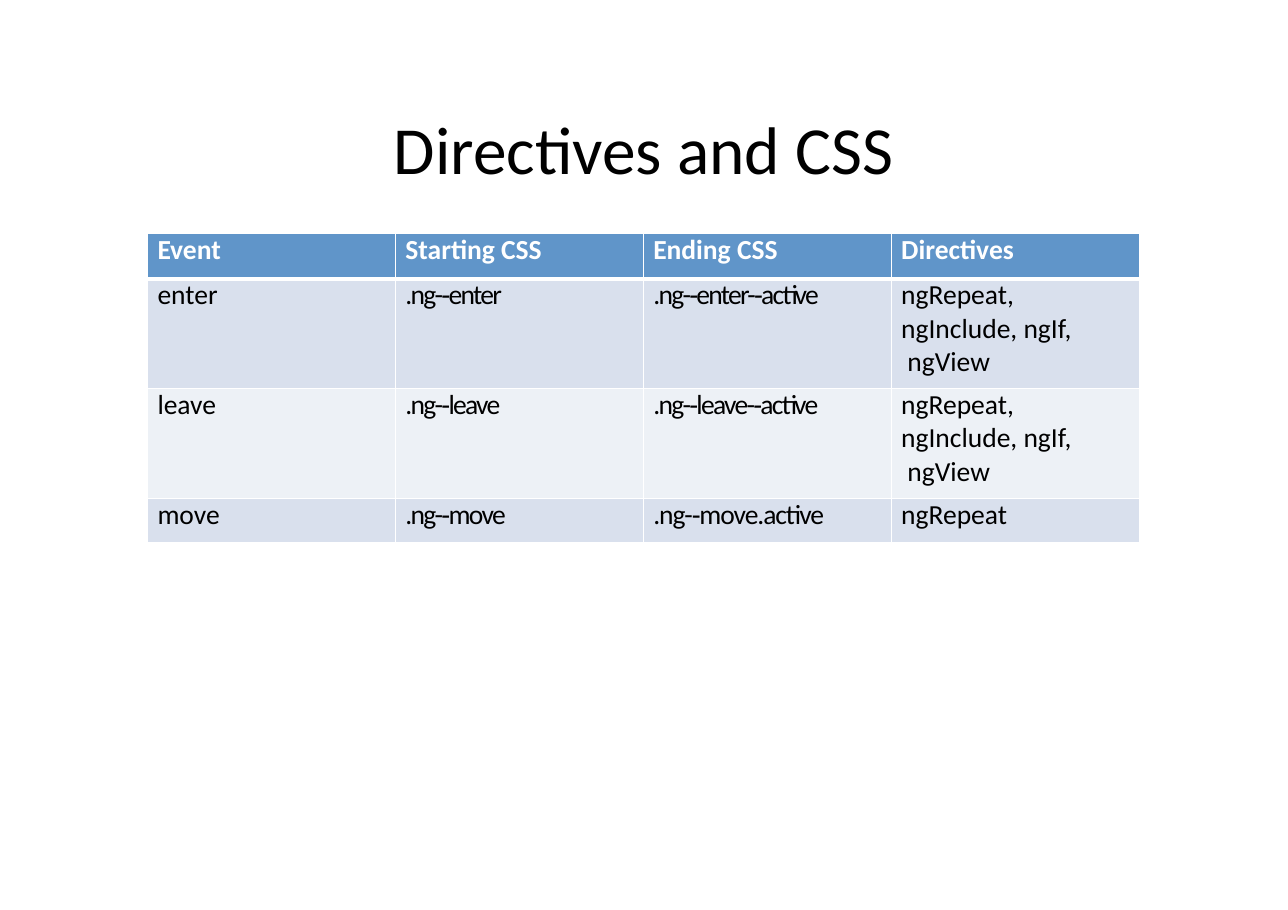
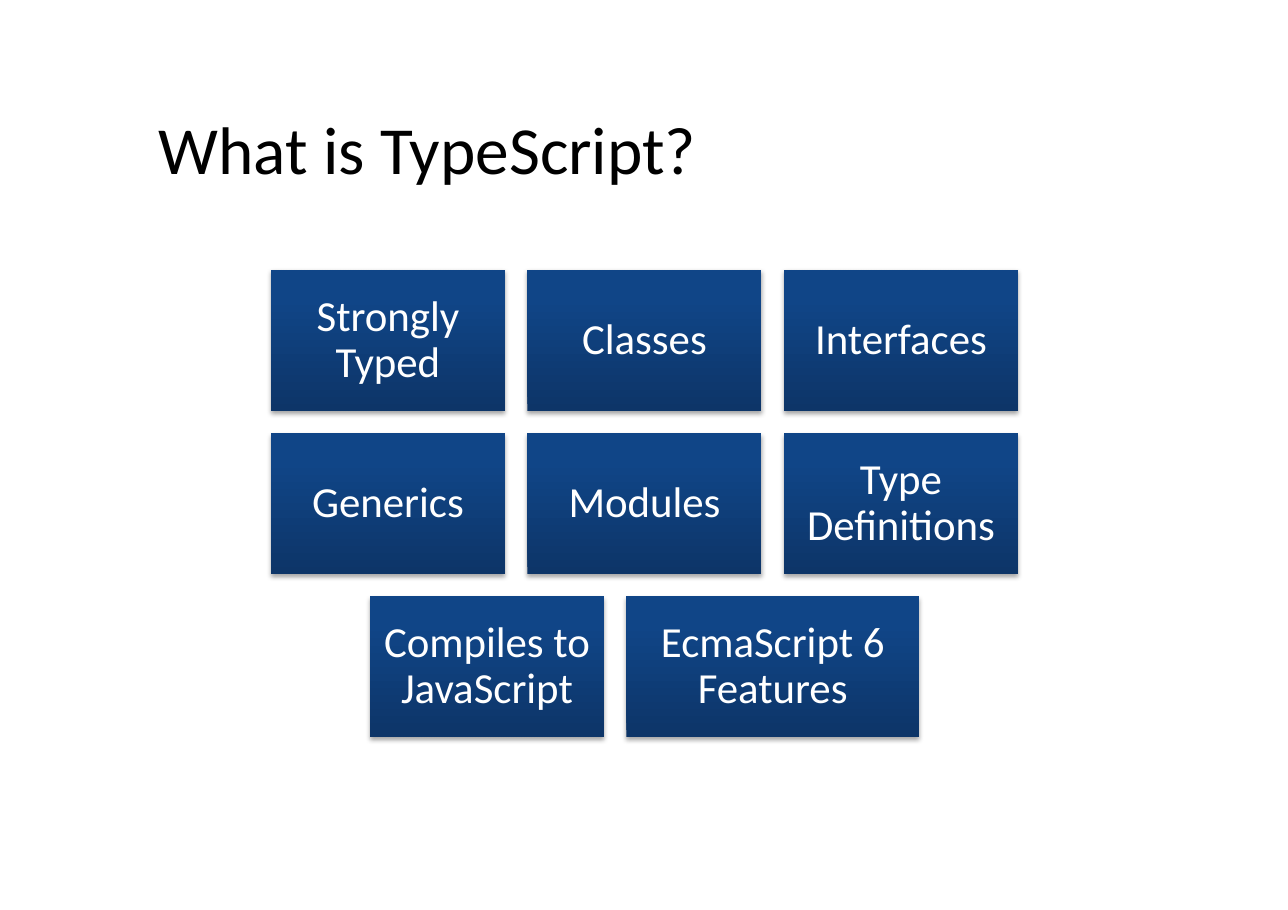
from copy import deepcopy
from dataclasses import dataclass

from lxml.etree import SubElement
from pptx import Presentation
from pptx.dml.color import RGBColor
from pptx.enum.shapes import MSO_SHAPE
from pptx.enum.text import MSO_ANCHOR, PP_ALIGN
from pptx.oxml.ns import qn
from pptx.util import Inches, Pt


@dataclass(frozen=True)
class Theme:
    font: str = "Calibri"
    ink: str = "000000"
    paper: str = "FFFFFF"
    header: str = "6095C9"
    bands: tuple = ("D9E0ED", "EDF1F6")
    tile_stops: tuple = ((0, "0D3568"), (0.8, "104587"), (1, "0E458A"))
    title_size: int = 44
    tile_size: int = 28
    table_size: int = 18


@dataclass(frozen=True)
class Box:
    left: int
    top: int
    width: int
    height: int


THEME = Theme()
SLIDE_WIDTH, SLIDE_HEIGHT = Inches(11.69), Inches(8.26)


def region(left, top, width, height):
    """Box given in percent of the slide's size."""
    return Box(int(SLIDE_WIDTH * left / 100), int(SLIDE_HEIGHT * top / 100),
               int(SLIDE_WIDTH * width / 100), int(SLIDE_HEIGHT * height / 100))


TITLE = region(12.32, 11.74, 75.36, 8.96)
EVENT_TABLE = region(11.46, 25.67, 76.99, 34.02)
FEATURE_TILES = region(21.04, 29.66, 58, 51.33)

# Table content
EVENT_DIRECTIVES = "ngRepeat,\vngInclude, ngIf,\v ngView"
EVENTS = [
    ("Event", "Starting CSS", "Ending CSS", "Directives"),
    ("enter", ".ng-‐enter", ".ng-‐enter-‐active", EVENT_DIRECTIVES),
    ("leave", ".ng-‐leave", ".ng-‐leave-‐active", EVENT_DIRECTIVES),
    ("move", ".ng-‐move", ".ng-‐move.active", "ngRepeat"),
]
EVENT_ROW_SHARES = (0.41, 1, 1, 0.41)

# Tile content: label and width in columns
FEATURES = [
    [("Strongly Typed", 1), ("Classes", 1), ("Interfaces", 1)],
    [("Generics", 1), ("Modules", 1), ("Type Definitions", 1)],
    [("Compiles to JavaScript", 1), ("EcmaScript 6 Features", 1.25)],
]


def style_text(paragraph, size, color, bold=False):
    font = paragraph.font
    font.name, font.size, font.bold = THEME.font, Pt(size), bold
    font.color.rgb = RGBColor.from_string(color)


def set_margins(holder, left, top, right, bottom):
    holder.margin_left, holder.margin_top = left, top
    holder.margin_right, holder.margin_bottom = right, bottom


def add_title(slide, box, text, align):
    frame = slide.shapes.add_textbox(box.left, box.top, box.width, box.height).text_frame
    frame.word_wrap = True
    set_margins(frame, 0, 0, 0, 0)
    heading = frame.paragraphs[0]
    heading.text, heading.alignment = text, align
    style_text(heading, THEME.title_size, THEME.ink)


def add_borders(cell, widths):
    properties = cell._tc.get_or_add_tcPr()
    for side, width in widths.items():
        line = SubElement(properties, qn(f"a:ln{side}"), w=str(Pt(width)))
        SubElement(SubElement(line, qn("a:solidFill")), qn("a:srgbClr"), val=THEME.paper)


def fill_cell(cell, text, row):
    is_header = row == 0
    add_borders(cell, {"L": 1, "R": 1, "T": 3 if row == 1 else 1, "B": 3 if is_header else 1})
    cell.fill.solid()
    cell.fill.fore_color.rgb = RGBColor.from_string(
        THEME.header if is_header else THEME.bands[(row - 1) % 2])
    set_margins(cell, Inches(0.09), 0, 0, 0)
    entry = cell.text_frame.paragraphs[0]
    entry.text = text
    entry.space_before = Pt(2.1 if row == 1 else 3.1)
    if "\v" in text:
        entry.line_spacing = 0.99
    style_text(entry, THEME.table_size, THEME.paper if is_header else THEME.ink, is_header)
    # CSS class names are set tight
    if text.startswith("."):
        tracking = -70 if text.endswith(".active") else -110
        for run in entry.runs:
            run._r.get_or_add_rPr().set("spc", str(tracking))


def add_event_table(slide, box, rows):
    table = slide.shapes.add_table(len(rows), len(rows[0]), box.left, box.top,
                                   box.width, box.height).table
    table.horz_banding = False
    for row, (texts, share) in enumerate(zip(rows, EVENT_ROW_SHARES)):
        table.rows[row].height = int(box.height * share / sum(EVENT_ROW_SHARES))
        for column, text in enumerate(texts):
            fill_cell(table.cell(row, column), text, row)


def add_tile_shadow(tile):
    tile.shadow.inherit = False
    effects = tile._element.spPr.find(qn("a:effectLst"))
    shadow = SubElement(effects, qn("a:outerShdw"), blurRad=str(Pt(3.1)),
                        dist=str(Pt(1.8)), dir="5400000", rotWithShape="0")
    color = SubElement(shadow, qn("a:srgbClr"), val=THEME.ink)
    SubElement(color, qn("a:alpha"), val="35000")


def add_tile(slide, box, label):
    tile = slide.shapes.add_shape(MSO_SHAPE.RECTANGLE, box.left, box.top, box.width, box.height)
    tile.line.fill.background()
    tile.fill.gradient()
    tile.fill.gradient_angle = 90
    # The default gradient has two stops; a third is needed
    stop_list = tile._element.spPr.find(f".//{qn('a:gsLst')}")
    stop_list.append(deepcopy(stop_list[-1]))
    for stop, (position, color) in zip(tile.fill.gradient_stops, THEME.tile_stops):
        stop.position = position
        stop.color.rgb = RGBColor.from_string(color)
    add_tile_shadow(tile)

    frame = tile.text_frame
    frame.word_wrap = True
    frame.vertical_anchor = MSO_ANCHOR.MIDDLE
    set_margins(frame, *[Inches(0.12)] * 4)
    caption = frame.paragraphs[0]
    caption.text, caption.alignment, caption.line_spacing = label, PP_ALIGN.CENTER, 0.9
    style_text(caption, THEME.tile_size, THEME.paper)


def add_feature_tiles(slide, box, rows):
    gap = int(box.width * 0.03)
    columns = max(len(row) for row in rows)
    column_width = (box.width - gap * (columns - 1)) / columns
    row_height = (box.height - gap * (len(rows) - 1)) / len(rows)
    for index, row in enumerate(rows):
        # Each row is centred in the region
        row_width = sum(span for _, span in row) * column_width + gap * (len(row) - 1)
        left = box.left + (box.width - row_width) / 2
        top = box.top + index * (row_height + gap)
        for label, span in row:
            width = span * column_width
            add_tile(slide, Box(int(left), int(top), int(width), int(row_height)), label)
            left += width + gap


def main():
    deck = Presentation()
    deck.slide_width, deck.slide_height = SLIDE_WIDTH, SLIDE_HEIGHT
    blank = deck.slide_layouts[6]

    directives = deck.slides.add_slide(blank)
    add_title(directives, TITLE, "Directives and CSS", PP_ALIGN.CENTER)
    add_event_table(directives, EVENT_TABLE, EVENTS)

    typescript = deck.slides.add_slide(blank)
    add_title(typescript, TITLE, "What is TypeScript?", PP_ALIGN.LEFT)
    add_feature_tiles(typescript, FEATURE_TILES, FEATURES)

    deck.save("out.pptx")


if __name__ == "__main__":
    main()
